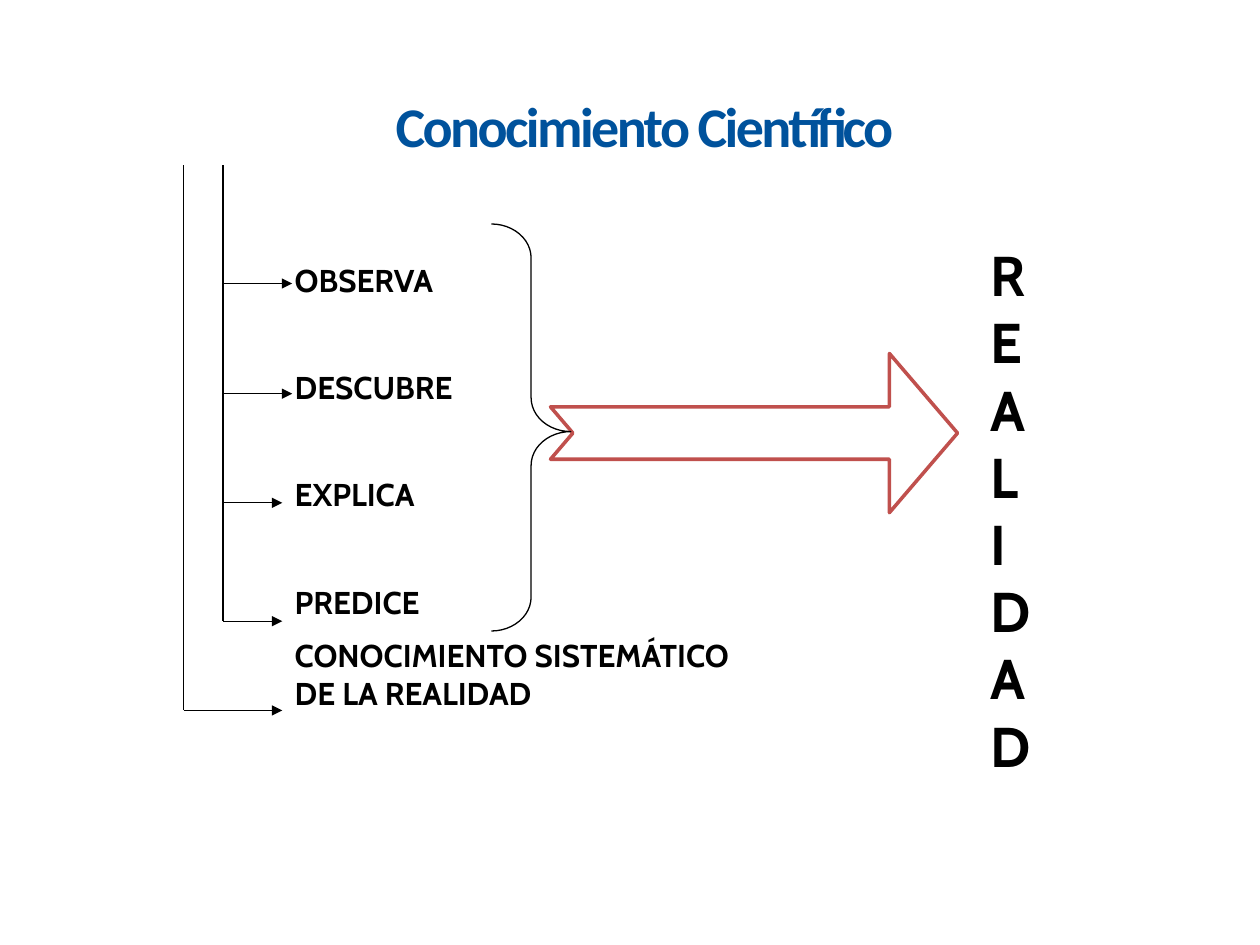
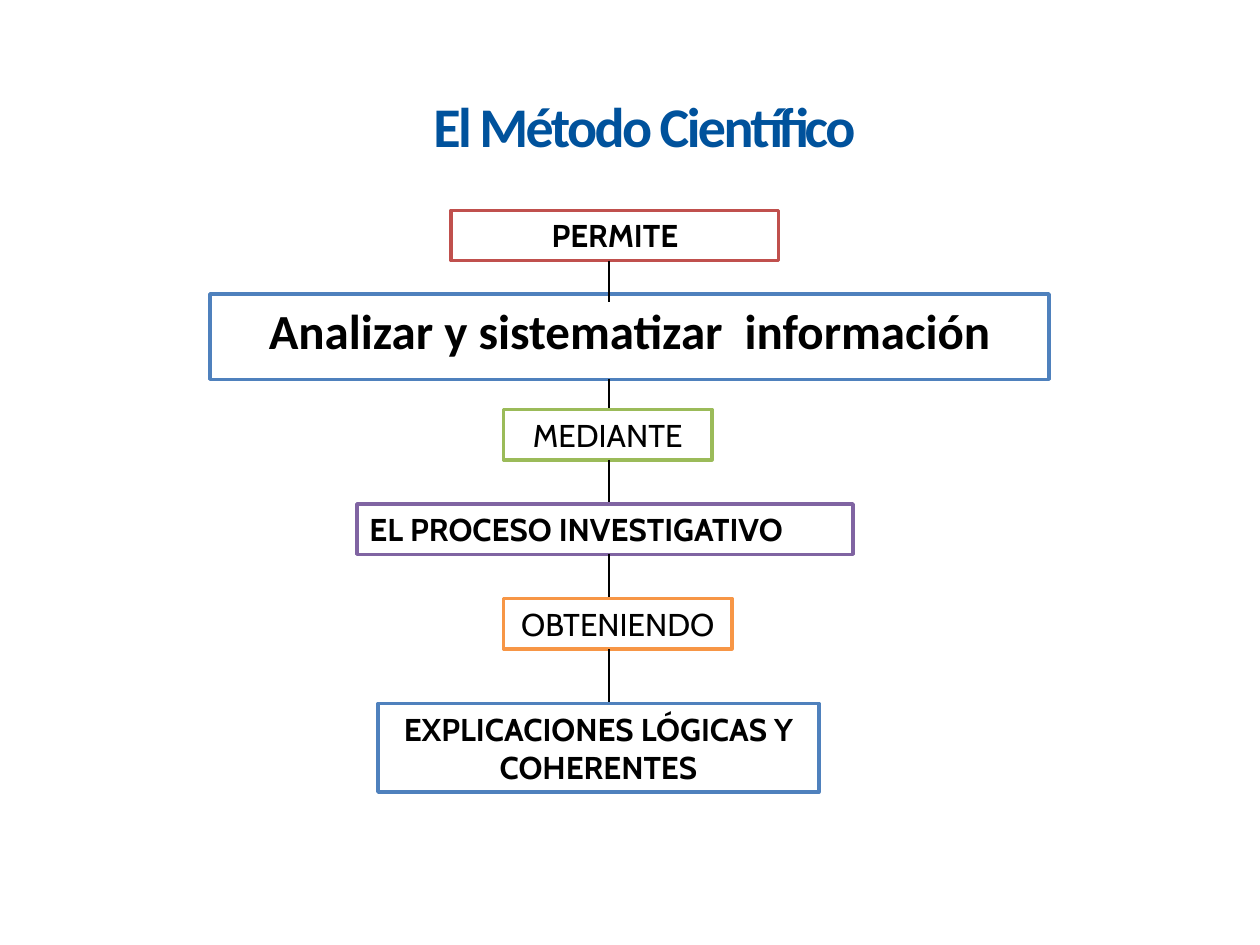
from lxml import etree
from pptx import Presentation
from pptx.dml.color import RGBColor
from pptx.enum import shapes, text
from pptx.oxml import ns
from pptx.util import Pt

COLORS = {
    "title": "00529C", "ink": "000000", "paper": "FFFFFF", "red": "C0504D",
    "blue": "4F81BD", "green": "9BBB59", "purple": "8064A2", "orange": "F79646",
}
TITLE_BOX = (167, 43.2, 402.5, 56.9)
CENTER, LEFT = text.PP_ALIGN.CENTER, text.PP_ALIGN.LEFT

KNOWLEDGE_TITLE = "Conocimiento Científico"
ACTIONS = [
    ("OBSERVA", 0),
    ("DESCUBRE", 39.7),
    ("EXPLICA", 39.7),
    ("PREDICE", 39.7),
    ("CONOCIMIENTO SISTEMÁTICO DE LA REALIDAD", 9),
]
TARGET = [("REALIDAD", 0)]
TRUNKS = [
    (127.5, [(162, 167), (225, 167), (287.3, 161.3), (355, 161.3)]),
    (105, [(406, 161.3)]),
]
TRUNK_TOP = 94.5

METHOD_TITLE = "El Método Científico"
AXIS = 348
STEPS = [
    dict(label="PERMITE", box=(257.8, 120.2, 187.2, 28.8), color="red"),
    dict(label="Analizar y sistematizar  información", box=(120, 168, 479.5, 48.8),
         color="blue", font="Calibri", size=28, overlap=4.8),
    dict(label="MEDIANTE", box=(287.8, 234, 119, 28.8), color="green", bold=False),
    dict(label="EL PROCESO INVESTIGATIVO", box=(204, 288, 283.5, 28.8),
         color="purple", align=LEFT),
    dict(label="OBTENIENDO", box=(287.8, 342, 130.5, 28.8), color="orange", bold=False),
    dict(label="EXPLICACIONES LÓGICAS Y COHERENTES", box=(216, 402, 252, 50.6),
         color="blue"),
]


def rgb(name):
    return RGBColor.from_string(COLORS[name])


def pts(box):
    return [Pt(v) for v in box]


def write(tf, items, size=18, font="Cabin", bold=True, align=LEFT, color="ink"):
    tf.word_wrap = True
    for i, (words, gap) in enumerate(items):
        p = tf.paragraphs[0] if i == 0 else tf.add_paragraph()
        p.text = words
        p.alignment = align
        p.space_before = Pt(gap)
        p.font.size, p.font.name, p.font.bold = Pt(size), font, bold
        p.font.color.rgb = rgb(color)


def add_slide(prs, title):
    s = prs.slides.add_slide(prs.slide_layouts[5])
    sp = s.shapes.title
    sp.left, sp.top, sp.width, sp.height = pts(TITLE_BOX)
    tf = sp.text_frame
    write(tf, [(title, 0)], size=32, font="Calibri", align=CENTER, color="title")
    tf.vertical_anchor = text.MSO_ANCHOR.MIDDLE
    tf.paragraphs[0].runs[0]._r.get_or_add_rPr().set("spc", "-150")
    return s


def add_text(s, box, items, **style):
    tf = s.shapes.add_textbox(*pts(box)).text_frame
    write(tf, items, **style)
    tf.auto_size = text.MSO_AUTO_SIZE.SHAPE_TO_FIT_TEXT


def add_shape(s, kind, box, line, width=2, fill="paper", adjust=()):
    sp = s.shapes.add_shape(kind, *pts(box))
    sp.shadow.inherit = False
    if fill:
        sp.fill.solid()
        sp.fill.fore_color.rgb = rgb(fill)
    else:
        sp.fill.background()
    sp.line.color.rgb = rgb(line)
    sp.line.width = Pt(width)
    for i, value in enumerate(adjust):
        sp.adjustments[i] = value
    return sp


def add_line(s, x1, y1, x2, y2, arrow=False):
    line = s.shapes.add_connector(shapes.MSO_CONNECTOR.STRAIGHT, *pts((x1, y1, x2, y2)))
    line.line.color.rgb = rgb("ink")
    line.line.width = Pt(0.75)
    if arrow:
        etree.SubElement(line.line._get_or_add_ln(), ns.qn("a:tailEnd"), type="triangle")
    etree.SubElement(line._element.spPr, ns.qn("a:effectLst"))


def knowledge_slide(prs):
    s = add_slide(prs, KNOWLEDGE_TITLE)
    add_text(s, (161.3, 145.5, 289.5, 299.5), ACTIONS)
    add_text(s, (558.7, 134, 28, 314), TARGET, size=32)
    add_shape(s, shapes.MSO_SHAPE.NOTCHED_RIGHT_ARROW, (314.6, 202, 232.6, 91),
              "red", adjust=(0.329, 0.428))
    add_shape(s, shapes.MSO_SHAPE.RIGHT_BRACE, (280.8, 128, 45.4, 232.6),
              "ink", width=0.75, fill=None, adjust=(0.427, 0.51))
    for x, branches in TRUNKS:
        add_line(s, x, TRUNK_TOP, x, branches[-1][0])
        for y, tip in branches:
            add_line(s, x, y, tip, y, arrow=True)


def method_slide(prs):
    s = add_slide(prs, METHOD_TITLE)
    for step in STEPS:
        sp = add_shape(s, shapes.MSO_SHAPE.RECTANGLE, step["box"], step["color"])
        tf = sp.text_frame
        tf.vertical_anchor = text.MSO_ANCHOR.TOP
        write(tf, [(step["label"], 0)], size=step.get("size", 18),
              font=step.get("font", "Cabin"), bold=step.get("bold", True),
              align=step.get("align", CENTER))
    for upper, lower in zip(STEPS, STEPS[1:]):
        bottom = upper["box"][1] + upper["box"][3]
        add_line(s, AXIS, bottom, AXIS, lower["box"][1] + lower.get("overlap", -1))


def main():
    prs = Presentation()
    prs.slide_width, prs.slide_height = Pt(720), Pt(540)
    knowledge_slide(prs)
    method_slide(prs)
    prs.save("out.pptx")


if __name__ == "__main__":
    main()
